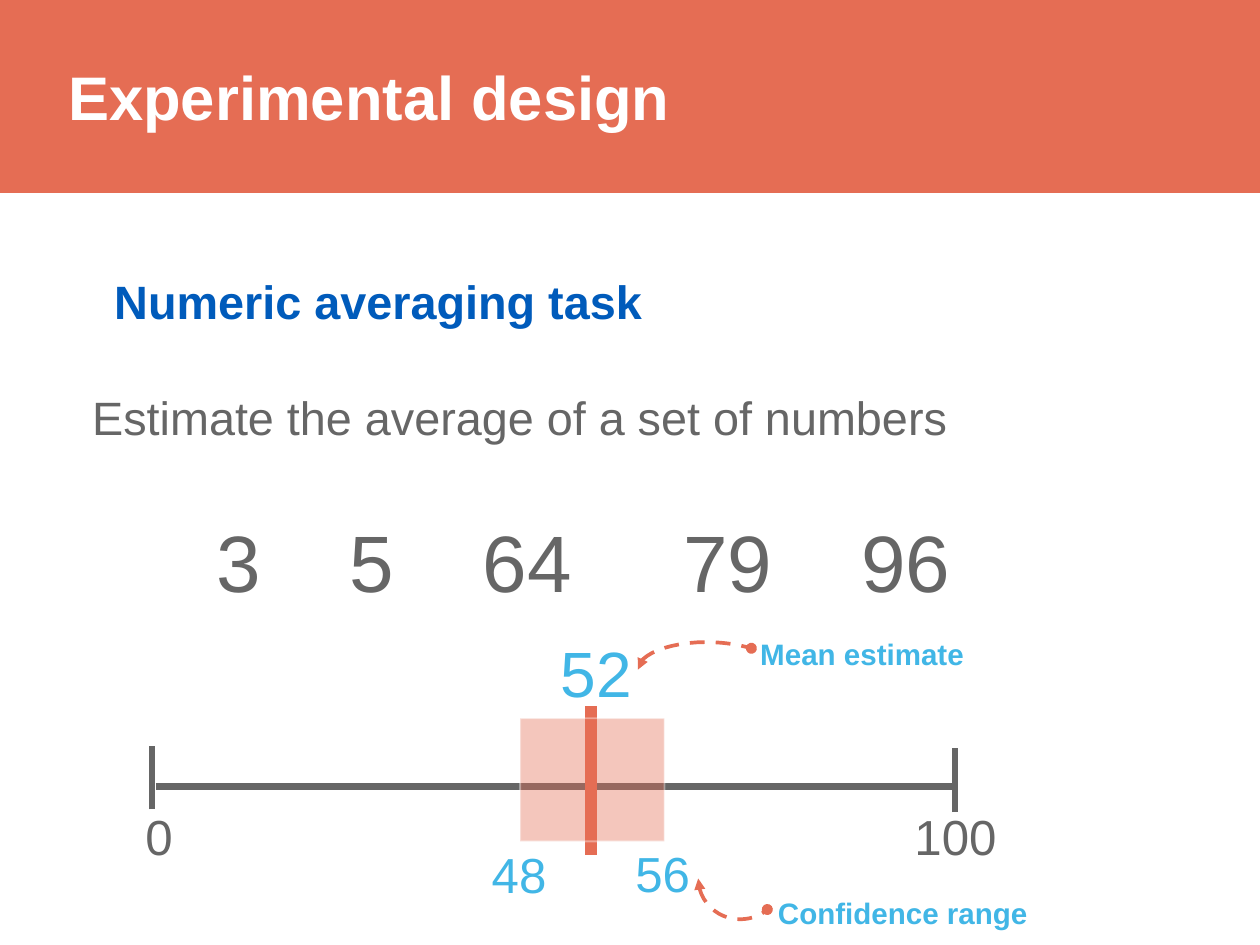
from lxml import etree
from pptx import Presentation
from pptx.dml.color import RGBColor
from pptx.enum.dml import MSO_LINE
from pptx.enum.shapes import MSO_CONNECTOR, MSO_SHAPE
from pptx.enum.text import MSO_ANCHOR
from pptx.oxml.ns import qn
from pptx.util import Inches, Pt

CORAL = RGBColor(0xE5, 0x6D, 0x54)
WHITE = RGBColor(0xFF, 0xFF, 0xFF)
GREY = RGBColor(0x66, 0x66, 0x66)
NAVY = RGBColor(0x00, 0x5B, 0xBB)
SKY = RGBColor(0x41, 0xB6, 0xE6)
RECT = MSO_SHAPE.RECTANGLE
LINE = MSO_CONNECTOR.STRAIGHT
DASH = MSO_LINE.DASH
TOP, MIDDLE = MSO_ANCHOR.TOP, MSO_ANCHOR.MIDDLE

FONT = "Arial"
ALPHA = 39

TITLE = ("Experimental design", (0.72, 0.62, 11.69, 0.88), 50, WHITE, True)
HEADS = [
    ("Estimate the average of a set of numbers",
     (0.98, 3.95, 9.9, 1.5), 38, GREY, False, 10),
    ("Numeric averaging task", (1.23, 2.65, 6.2, 1.48), 38, NAVY, True, 8),
]
NUMBERS = ["3", "5", "64", "79", "96"]
STOPS = [1.51, 3.01, 5.27, 7.28]
LABELS = [
    ("52", (6.28, 7.1, 1, 0.9), 52, SKY, False),
    ("48", (5.5, 9.48, 0.8, 0.72), 40, SKY, False),
    ("56", (7.12, 9.47, 0.8, 0.72), 40, SKY, False),
    ("0", (1.59, 9.05, 0.5, 0.72), 40, GREY, False),
    ("100", (10.27, 9.05, 1.1, 0.72), 40, GREY, False),
    ("Mean estimate", (8.53, 7.13, 3.02, 0.48), 24, SKY, True),
    ("Confidence range", (8.73, 10.06, 3.02, 0.48), 24, SKY, True),
]
SCALE = [
    ((1.72, 9.14), (1.72, 8.42), GREY, 5),
    ((1.76, 8.88), (10.77, 8.88), GREY, 5),
    ((10.78, 9.17), (10.78, 8.45), GREY, 5),
    ((6.67, 9.65), (6.67, 7.97), CORAL, 10),
]
BANNER = (-0.06, -0.04, 14.7, 2.21)
RANGE = (5.87, 8.11, 1.63, 1.39)
CURVES = [
    [((7.2, 7.56), (7.2, 7.39), (7.55, 7.25), (7.97, 7.25)),
     ((7.97, 7.25), (8.16, 7.25), (8.34, 7.28), (8.48, 7.32))],
    [((7.88, 9.92), (7.88, 10.17), (8.09, 10.38), (8.35, 10.38)),
     ((8.35, 10.38), (8.47, 10.38), (8.58, 10.34), (8.66, 10.27))],
]
STEPS = 12


def add_text(slide, text, box, size, color, bold, inset=0.05, anchor=TOP):
    frame = slide.shapes.add_textbox(*map(Inches, box)).text_frame
    frame.word_wrap = True
    frame.vertical_anchor = anchor
    frame.margin_left = frame.margin_right = Inches(inset)
    frame.margin_top = frame.margin_bottom = Inches(inset)
    para = frame.paragraphs[0]
    run = para.add_run()
    run.text = text
    run.font.name = FONT
    run.font.size = Pt(size)
    run.font.bold = bold
    run.font.color.rgb = color
    return para


def add_rect(slide, box, edge, width):
    shape = slide.shapes.add_shape(RECT, *map(Inches, box))
    shape.shadow.inherit = False
    shape.fill.solid()
    shape.fill.fore_color.rgb = CORAL
    shape.line.color.rgb = edge
    shape.line.width = Pt(width)
    return shape


def add_line(slide, start, end, color, width):
    ends = [Inches(v) for v in start + end]
    line = slide.shapes.add_connector(LINE, *ends)
    line.line.color.rgb = color
    line.line.width = Pt(width)
    etree.SubElement(line._element.spPr, qn("a:effectLst"))


def bezier(points, t):
    u = 1 - t
    parts = (u ** 3, 3 * u * u * t, 3 * u * t * t, t ** 3)
    return tuple(Inches(sum(w * p[i] for w, p in zip(parts, points)))
                 for i in (0, 1))


def add_curve(slide, curve):
    start = bezier(curve[0], 0)
    dots = [bezier(part, i / STEPS)
            for part in curve for i in range(1, STEPS + 1)]
    pen = slide.shapes.build_freeform(*start)
    pen.add_line_segments(dots, close=False)
    shape = pen.convert_to_shape()
    shape.shadow.inherit = False
    shape.fill.background()
    shape.line.color.rgb = CORAL
    shape.line.width = Pt(3)
    shape.line.dash_style = DASH
    edge = shape._element.spPr.find(qn("a:ln"))
    for tag, kind in (("a:headEnd", "triangle"), ("a:tailEnd", "oval")):
        etree.SubElement(edge, qn(tag), type=kind)


def main():
    deck = Presentation()
    deck.slide_width, deck.slide_height = Inches(14.22), Inches(10.67)
    slide = deck.slides.add_slide(deck.slide_layouts[6])

    add_rect(slide, BANNER, CORAL, 1)
    add_text(slide, *TITLE)
    for *head, gap in HEADS:
        para = add_text(slide, *head, inset=0.06, anchor=MIDDLE)
        para.line_spacing = Pt(46)
        para.space_before = Pt(gap)

    row = add_text(slide, "\t".join(NUMBERS), (2.39, 5.74, 8.6, 1.11),
                   65, GREY, False)
    tabs = etree.SubElement(row._p.get_or_add_pPr(), qn("a:tabLst"))
    for stop in STOPS:
        etree.SubElement(tabs, qn("a:tab"), pos=str(Inches(stop)), algn="l")

    for item in SCALE:
        add_line(slide, *item)
    band = add_rect(slide, RANGE, WHITE, 1.5)
    for color in band._element.spPr.iter(qn("a:srgbClr")):
        etree.SubElement(color, qn("a:alpha"), val=str(ALPHA * 1000))

    for label in LABELS:
        add_text(slide, *label)
    for curve in CURVES:
        add_curve(slide, curve)
    deck.save("out.pptx")


if __name__ == "__main__":
    main()
